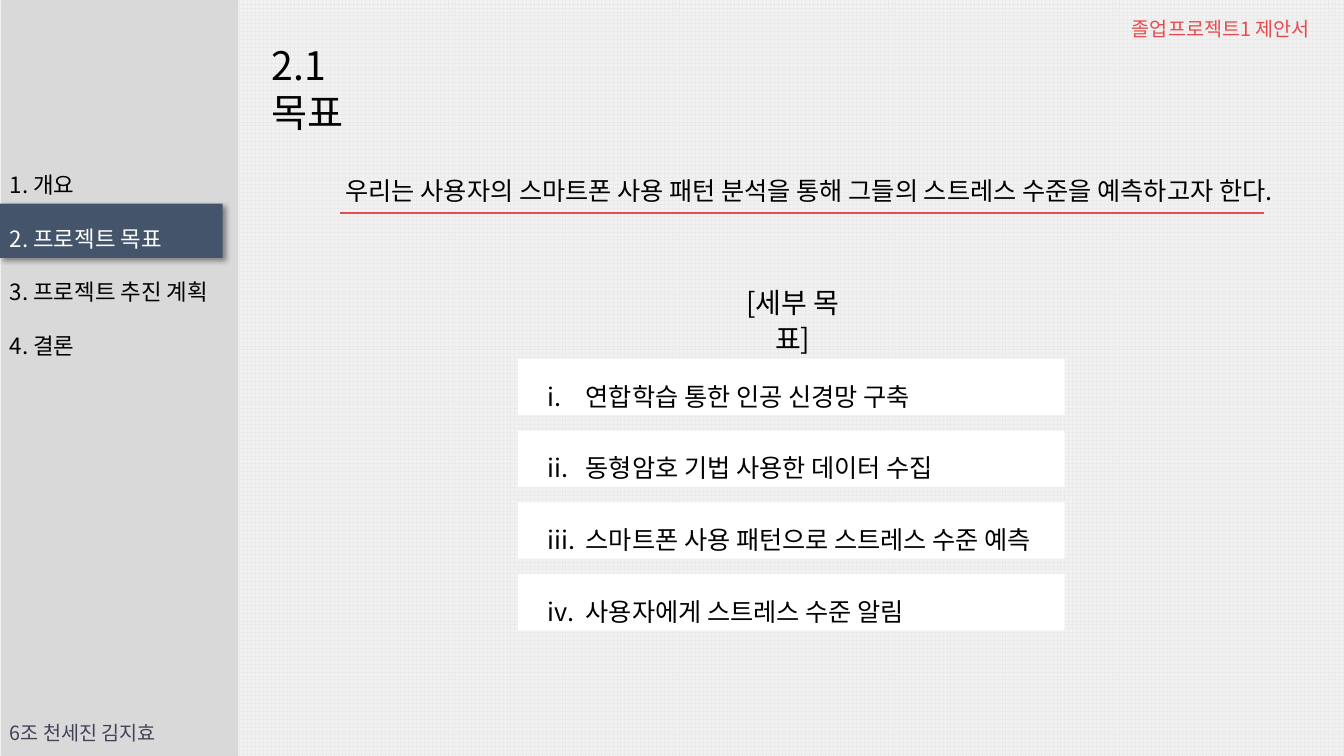
from dataclasses import dataclass

from lxml.etree import SubElement
from pptx import Presentation
from pptx.dml.color import RGBColor
from pptx.enum.dml import MSO_PATTERN
from pptx.enum.shapes import MSO_CONNECTOR, MSO_SHAPE
from pptx.enum.text import MSO_ANCHOR, MSO_AUTO_SIZE, PP_ALIGN
from pptx.oxml.ns import qn
from pptx.shapes.autoshape import Shape
from pptx.slide import Slide
from pptx.text.text import TextFrame
from pptx.util import Cm, Pt

FONT = "Noto Sans CJK KR"
BLACK, WHITE, RED, NAVY = "000000", "FFFFFF", "E54C4F", "44546A"


@dataclass
class Box:
    """Position and size in centimetres."""
    left: float
    top: float
    width: float
    height: float

    def lengths(self) -> tuple[Cm, Cm, Cm, Cm]:
        return Cm(self.left), Cm(self.top), Cm(self.width), Cm(self.height)


@dataclass
class Label:
    box: Box
    text: str
    size: int
    color: str = BLACK
    spacing: float = 1.07
    after: int = 0
    align: PP_ALIGN = PP_ALIGN.LEFT


@dataclass
class NavItem:
    text: str
    color: str = BLACK


NAV = [
    NavItem("1. 개요"),
    NavItem("2. 프로젝트 목표", WHITE),
    NavItem("3. 프로젝트 추진 계획"),
    NavItem("4. 결론"),
]
GOALS = [
    "연합학습 통한 인공 신경망 구축",
    "동형암호 기법 사용한 데이터 수집",
    "스마트폰 사용 패턴으로 스트레스 수준 예측",
    "사용자에게 스트레스 수준 알림",
]
LABELS = [
    Label(Box(0, 17.75, 4.95, 1.07), "6조 천세진 김지효", 14, "404257", 1.5),
    Label(Box(8.46, 4.24, 24.82, 1.07),
          "우리는 사용자의 스마트폰 사용 패턴 분석을 통해 그들의 스트레스 수준을 예측하고자 한다.",
          18, after=8),
    Label(Box(18.14, 7.01, 3.68, 1.17), "[세부 목표]", 20, after=8,
          align=PP_ALIGN.CENTER),
    Label(Box(28.27, 0, 5, 1.07), "졸업프로젝트1 제안서", 14, RED, 1.5,
          align=PP_ALIGN.CENTER),
]
CARD = Box(13.06, 9.04, 13.77, 1.42)
CARD_STEP = 1.81


def rgb(color: str) -> RGBColor:
    return RGBColor.from_string(color)


def prepare(tf: TextFrame) -> TextFrame:
    """Wrap text from the top and let the box grow with it."""
    tf.word_wrap = True
    tf.auto_size = MSO_AUTO_SIZE.SHAPE_TO_FIT_TEXT
    tf.vertical_anchor = MSO_ANCHOR.TOP
    return tf


def add_frame(s: Slide, box: Box) -> TextFrame:
    return prepare(s.shapes.add_textbox(*box.lengths()).text_frame)


def write(tf: TextFrame, text: str, *, size: int, color: str = BLACK,
          spacing: float = 1.0, after: int = 0,
          align: PP_ALIGN = PP_ALIGN.LEFT, roman: bool = False) -> None:
    """Fill the empty first paragraph, or add one after it."""
    p = tf.paragraphs[0] if not tf.text else tf.add_paragraph()
    p.alignment, p.line_spacing, p.space_after = align, spacing, Pt(after)
    if roman:
        pPr = p._p.get_or_add_pPr()
        pPr.set("marL", str(Cm(0.95)))
        pPr.set("indent", str(-Cm(0.95)))
        SubElement(pPr, qn("a:buAutoNum"), type="romanLcPeriod")
    r = p.add_run()
    r.text = text
    r.font.size, r.font.name = Pt(size), FONT
    r.font.color.rgb = rgb(color)
    SubElement(r._r.get_or_add_rPr(), qn("a:ea"), typeface=FONT)


def add_rect(s: Slide, box: Box, color: str) -> Shape:
    sp = s.shapes.add_shape(MSO_SHAPE.RECTANGLE, *box.lengths())
    sp.shadow.inherit = False
    sp.fill.solid()
    sp.fill.fore_color.rgb = rgb(color)
    sp.line.fill.background()
    return sp


def add_shadow(sp: Shape) -> None:
    effects = sp._element.spPr.find(qn("a:effectLst"))
    shadow = SubElement(effects, qn("a:outerShdw"), blurRad=str(Pt(4)),
                        dist=str(Pt(3)), dir=str(45 * 60000), algn="tl",
                        rotWithShape="0")
    black = SubElement(shadow, qn("a:srgbClr"), val=BLACK)
    SubElement(black, qn("a:alpha"), val="40000")


def add_underline(s: Slide, left: float, right: float, y: float) -> None:
    line = s.shapes.add_connector(MSO_CONNECTOR.STRAIGHT,
                                  Cm(left), Cm(y), Cm(right), Cm(y))
    line.line.color.rgb = rgb(RED)
    line.line.width = Pt(1.5)
    SubElement(line._element.spPr, qn("a:effectLst"))


def set_background(s: Slide) -> None:
    fill = s.background.fill
    fill.patterned()
    fill.pattern = MSO_PATTERN.LARGE_GRID
    fill.fore_color.rgb = rgb("EAEAEA")
    fill.back_color.rgb = rgb("F2F2F2")


def add_title(s: Slide) -> None:
    title = s.shapes.title
    box = Box(6.6, 0.91, 3.6, 1.45)
    title.left, title.top, title.width, title.height = box.lengths()
    write(prepare(title.text_frame), "2.1 목표", size=28)


def add_navigation(s: Slide) -> None:
    add_rect(s, Box(0.03, 0, 5.97, 19.05), "D9D9D9")
    add_shadow(add_rect(s, Box(0, 5.13, 5.61, 1.37), NAVY))
    tf = add_frame(s, Box(0, 3.51, 5.87, 5.56))
    for item in NAV:
        write(tf, item.text, size=16, color=item.color, spacing=2.0)


def add_goals(s: Slide) -> None:
    for i in range(len(GOALS)):
        top = CARD.top + i * CARD_STEP
        add_rect(s, Box(CARD.left, top, CARD.width, CARD.height), WHITE)
    tf = add_frame(s, Box(13.56, 8.71, 13.26, 7.06))
    for goal in GOALS:
        write(tf, goal, size=18, spacing=2.0, after=8, roman=True)


def main() -> None:
    prs = Presentation()
    prs.slide_width, prs.slide_height = Cm(33.87), Cm(19.05)
    s = prs.slides.add_slide(prs.slide_layouts[5])
    set_background(s)
    add_title(s)
    add_navigation(s)
    add_goals(s)
    for label in LABELS:
        write(add_frame(s, label.box), label.text, size=label.size,
              color=label.color, spacing=label.spacing, after=label.after,
              align=label.align)
    add_underline(s, 8.56, 31.85, 5.36)
    prs.save("out.pptx")


if __name__ == "__main__":
    main()
